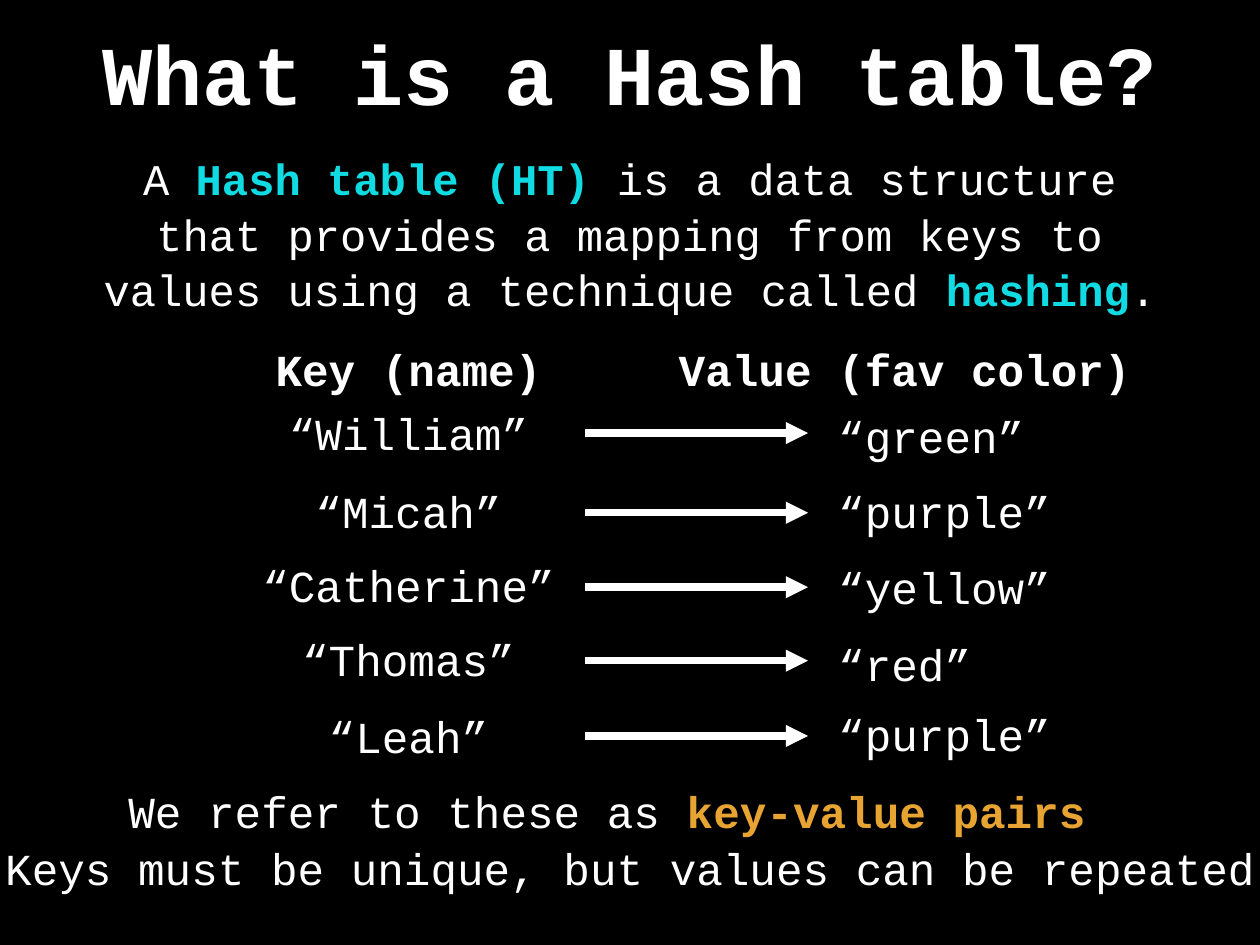
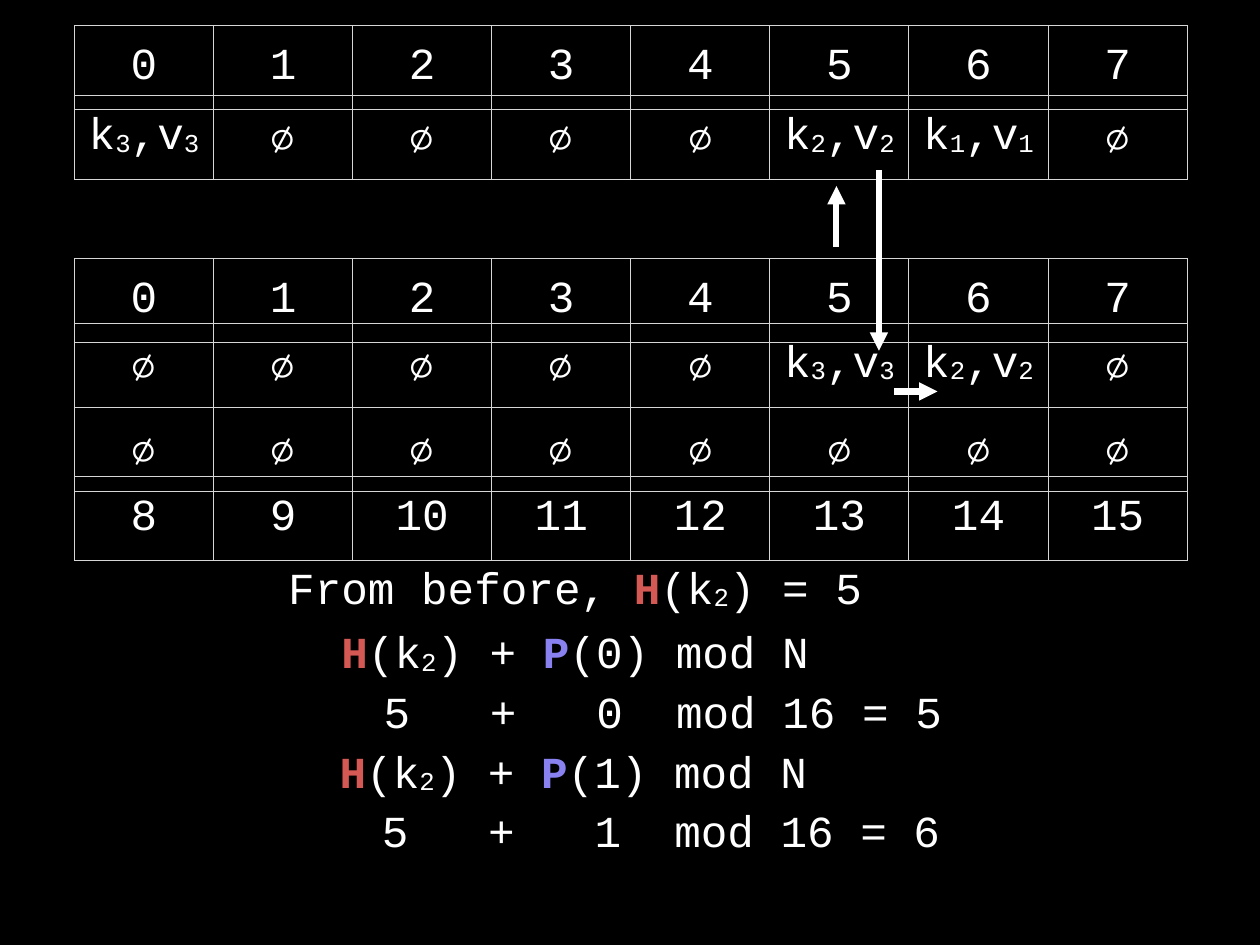
from pptx import Presentation
from pptx.dml.color import RGBColor
from pptx.enum.shapes import MSO_CONNECTOR
from pptx.enum.text import MSO_ANCHOR, MSO_AUTO_SIZE, PP_ALIGN
from pptx.oxml.ns import qn
from pptx.util import Inches, Pt
from lxml.etree import SubElement

# Shared style
HUES = {"back": "000000", "text": "FFFFFF", "grid": "D6D6D6", "cyan": "11DBE2",
        "gold": "E8A432", "red": "D45854", "violet": "8981F0"}
FONT = "Courier New"
SIZE = 36
PAD = Inches(0.06)
LINE = 0.68

# Slide 1 content
TITLE = "What is a Hash table?"
INTRO = [("A ", ""), ("Hash table (HT)", "cyan"),
         (" is a data structure that provides a mapping from keys to values "
          "using a technique called ", ""), ("hashing", "cyan"), (".", "")]
HEADS = [("Key (name)", 4.61), ("Value (fav color)", 10.21)]
# key, its middle, value, its middle, arrow height
PAIRS = [("“William”", 4.89, "“green”", 4.92, 4.89),
         ("“Micah”", 5.77, "“purple”", 5.77, 5.79),
         ("“Catherine”", 6.6, "“yellow”", 6.63, 6.63),
         ("“Thomas”", 7.44, "“red”", 7.49, 7.46),
         ("“Leah”", 8.31, "“purple”", 8.28, 8.31)]
NOTES = [([("We refer to these as ", ""), ("key-value pairs", "gold")], 6.85, 9.15),
         ("Keys must be unique, but values can be repeated", 7.11, 9.8)]


# Slide 2 content
def entry(num):
    return [("k", ""), (num, "sub"), (",v", ""), (num, "sub")]


def probe(num):
    return [("H", "red"), ("(k", ""), ("2", "sub"), (") + ", ""),
            ("P", "violet"), (f"({num}) mod N", "")]


NIL = "∅"
LOW = [str(n) for n in range(8)]
HIGH = [str(n) for n in range(8, 16)]
ROWS = [(1.08, [entry("3")] + [NIL] * 4 + [entry("2"), entry("1"), NIL]),
        (0.29, LOW),
        (3.65, [NIL] * 5 + [entry("3"), entry("2"), NIL]),
        (4.6, [NIL] * 8),
        (2.92, LOW),
        (5.38, HIGH)]
MOVES = [(9.44, 2.79, 9.44, 2.1), (9.92, 1.92, 9.92, 3.96), (10.09, 4.42, 10.58, 4.42)]
FROM = [("From before, ", ""), ("H", "red"), ("(k", ""), ("2", "sub"), (") = 5", "")]
# formula, its centre, its middle
RULES = [(FROM, 6.49, 6.62), (probe(0), 6.49, 7.35), (probe(1), 6.47, 8.7)]
# worked sum, left, top
SUMS = [("5\t+\t0\tmod 16 = 5", 4.27, 7.68), ("5\t+\t1\tmod 16 = 6", 4.25, 9.03)]
STOPS = [1.2, 2.4, 3.3]


def hue(name):
    return RGBColor.from_string(HUES[name])


def write(para, text, size=SIZE, bold=False, align=PP_ALIGN.CENTER):
    para.alignment = align
    font = para.font
    font.name, font.size, font.bold = FONT, Pt(size), bold
    font.color.rgb = hue("text")
    for part, style in [(text, "")] if isinstance(text, str) else text:
        run = para.add_run()
        run.text = part
        if style == "sub":
            run._r.get_or_add_rPr().set("baseline", "-6000")
        elif style:
            run.font.bold = True
            run.font.color.rgb = hue(style)


def frame(shape, wrap):
    body = shape.text_frame
    body.margin_left = body.margin_right = body.margin_top = body.margin_bottom = PAD
    body.vertical_anchor = MSO_ANCHOR.MIDDLE
    body.auto_size = MSO_AUTO_SIZE.NONE
    body.word_wrap = wrap
    return body.paragraphs[0]


def box(slide, left, top, width, high=LINE, wrap=True):
    shape = slide.shapes.add_textbox(Inches(left), Inches(top), Inches(width), Inches(high))
    return frame(shape, wrap)


def label(slide, text, mid, row, bold=False):
    """Write one line centred on a point."""
    size = len(text if isinstance(text, str) else "".join(p for p, _ in text))
    width = size * 0.3 + 0.12
    write(box(slide, mid - width / 2, row - LINE / 2, width, wrap=False), text, bold=bold)


def arrow(slide, ends, weight):
    line = slide.shapes.add_connector(MSO_CONNECTOR.STRAIGHT, *map(Inches, ends))
    line.line.color.rgb = hue("text")
    line.line.width = Pt(weight)
    SubElement(line.line._get_or_add_ln(), qn("a:tailEnd"), type="triangle")
    SubElement(line._element.spPr, qn("a:effectLst"))


def strip(slide, top, items):
    """Draw one row of slots as a table."""
    wide, high = 1.57, 0.95
    shape = slide.shapes.add_table(1, len(items), Inches(0.84), Inches(top),
                                   Inches(wide * len(items)), Inches(high))
    table = shape.table
    table.first_row = table.horz_banding = False
    for col, cell, item in zip(table.columns, table.rows[0].cells, items):
        col.width = Inches(wide)
        cell.margin_left = cell.margin_right = cell.margin_top = cell.margin_bottom = PAD
        cell.vertical_anchor = MSO_ANCHOR.MIDDLE
        props = cell._tc.get_or_add_tcPr()
        for side in ("lnL", "lnR", "lnT", "lnB"):
            edge = SubElement(props, qn(f"a:{side}"), w=str(Pt(1)))
            fill = SubElement(edge, qn("a:solidFill"))
            SubElement(fill, qn("a:srgbClr"), val=HUES["grid"])
        cell.fill.background()
        write(cell.text_frame.paragraphs[0], item)


def tabs(para):
    stops = SubElement(para._p.get_or_add_pPr(), qn("a:tabLst"))
    for stop in STOPS:
        SubElement(stops, qn("a:tab"), pos=str(Inches(stop)), algn="l")


def intro(deck):
    slide = deck.slides.add_slide(deck.slide_layouts[5])
    title = slide.shapes.title
    title.left, title.top = Inches(1.04), Inches(0.17)
    title.width, title.height = Inches(12.14), Inches(1.28)
    write(frame(title, True), TITLE, 68, True)
    para = box(slide, 1.04, 1.44, 12.14, 2.36)
    para.line_spacing = 1.06
    write(para, INTRO, 35.6)
    # Keys, arrows and values
    for text, mid in HEADS:
        label(slide, text, mid, 4.16, True)
    for key, krow, value, vrow, arow in PAIRS:
        label(slide, key, 4.61, krow)
        write(box(slide, 9.4, vrow - LINE / 2, 2.6), value, align=PP_ALIGN.LEFT)
        arrow(slide, (6.6, arow, 9.12, arow), 6)
    for text, mid, row in NOTES:
        label(slide, text, mid, row)


def resize(deck):
    slide = deck.slides.add_slide(deck.slide_layouts[6])
    for top, items in ROWS:
        strip(slide, top, items)
    for text, mid, row in RULES:
        label(slide, text, mid, row)
    for text, left, top in SUMS:
        para = box(slide, left, top, 6.6)
        tabs(para)
        write(para, text, align=PP_ALIGN.LEFT)
    for ends in MOVES:
        arrow(slide, ends, 5)


def main():
    deck = Presentation()
    deck.slide_width, deck.slide_height = Inches(14.22), Inches(10.67)
    fill = deck.slide_master.background.fill
    fill.solid()
    fill.fore_color.rgb = hue("back")
    intro(deck)
    resize(deck)
    deck.save("out.pptx")


if __name__ == "__main__":
    main()
